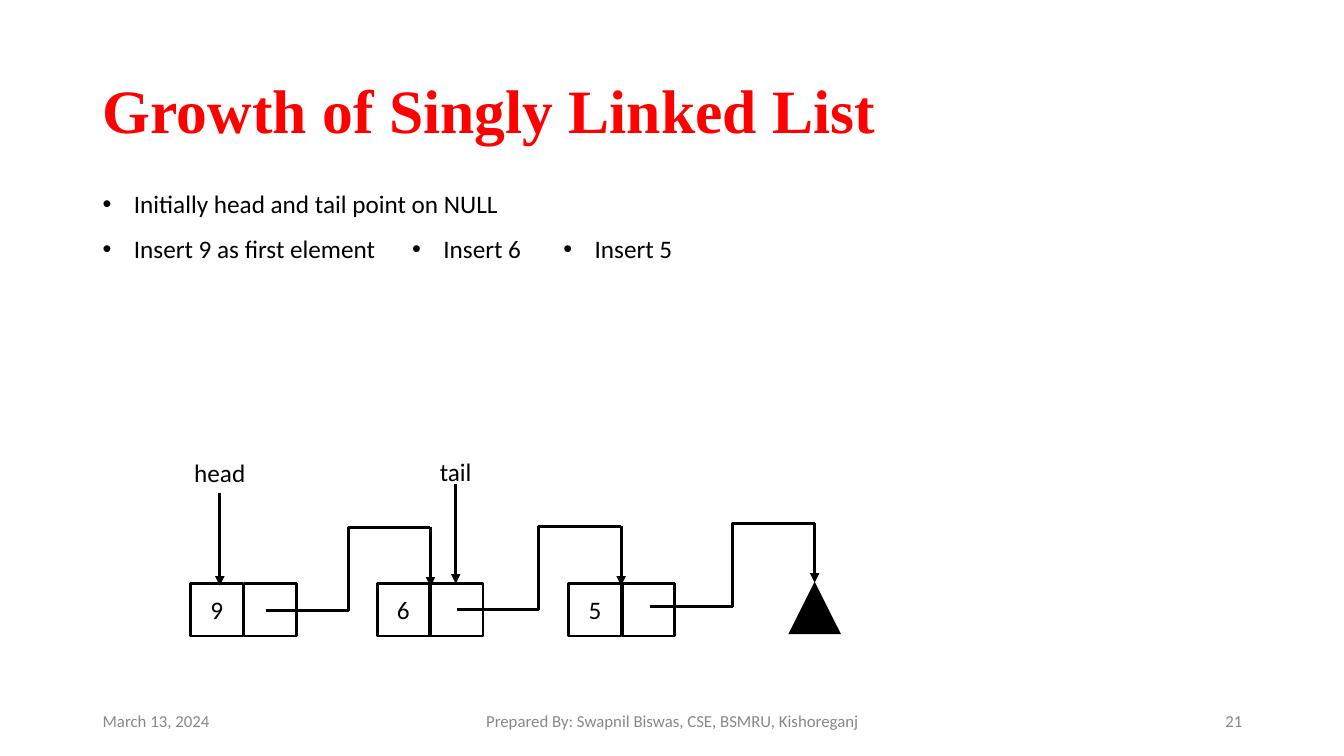
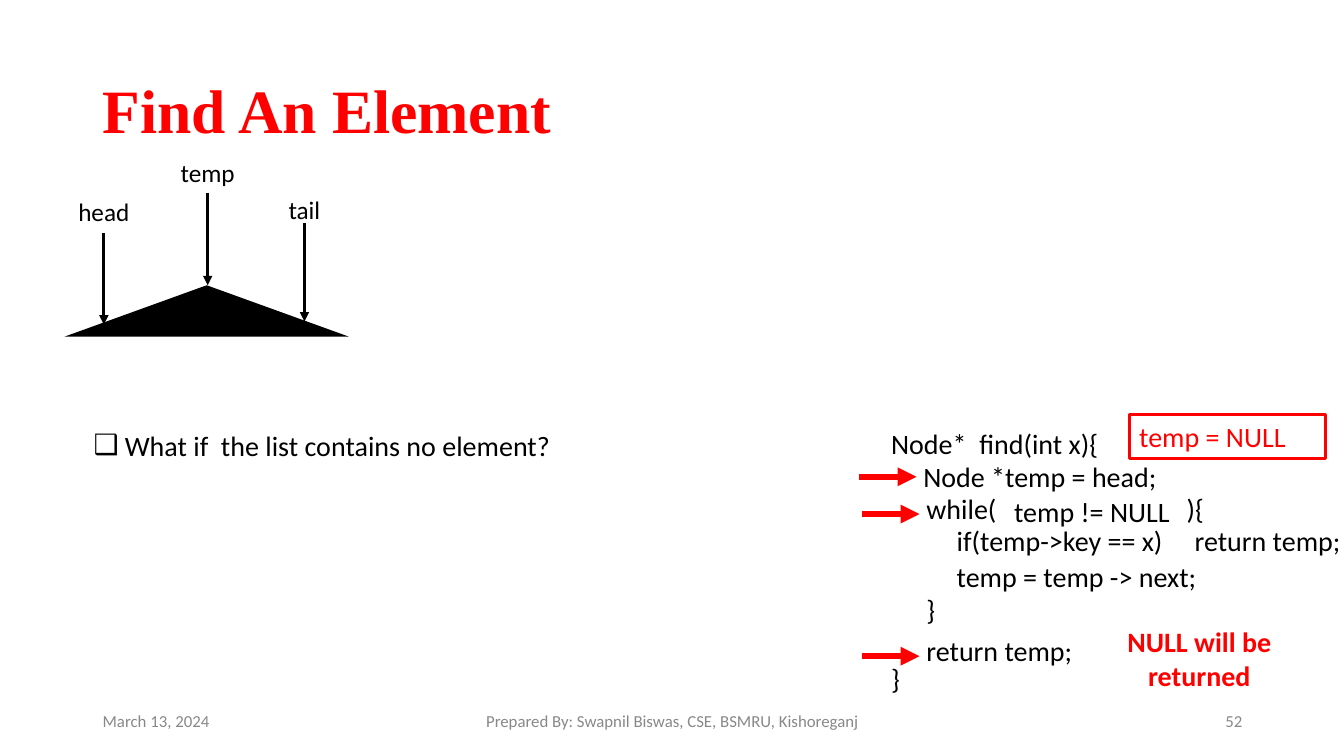
from lxml import etree
from pptx import Presentation
from pptx.dml.color import RGBColor
from pptx.enum.shapes import MSO_CONNECTOR, MSO_SHAPE
from pptx.enum.text import MSO_ANCHOR, PP_ALIGN
from pptx.oxml.ns import qn
from pptx.util import Inches, Pt

BLACK = RGBColor(0, 0, 0)
RED = RGBColor(255, 0, 0)
GREY = RGBColor(0x88, 0x88, 0x88)
LEFT, MID, RIGHT = PP_ALIGN.LEFT, PP_ALIGN.CENTER, PP_ALIGN.RIGHT
TOP, MIDDLE = MSO_ANCHOR.TOP, MSO_ANCHOR.MIDDLE
RECT, PEAK = MSO_SHAPE.RECTANGLE, MSO_SHAPE.ISOSCELES_TRIANGLE
LINE, ELBOW = MSO_CONNECTOR.STRAIGHT, MSO_CONNECTOR.ELBOW
CELL = 0.52
STEP = 0.53


def write(frame, text, size=18, color=BLACK, bold=False, font="Calibri",
          align=LEFT, anchor=TOP, mark=None):
    frame.word_wrap = True
    frame.vertical_anchor = anchor
    para = frame.paragraphs[0]
    para.text = text
    para.alignment = align
    if mark:
        props = para._p.get_or_add_pPr()
        props.set("marL", str(Inches(0.31)))
        props.set("indent", str(Inches(-0.31)))
        etree.SubElement(props, qn("a:buFont")).set("typeface", "Arial")
        etree.SubElement(props, qn("a:buChar")).set("char", mark)
    style = para.runs[0].font
    style.name, style.size, style.bold = font, Pt(size), bold
    style.color.rgb = color
    return para


def label(slide, text, x, y, w, h=0.4, **look):
    box = slide.shapes.add_textbox(Inches(x), Inches(y), Inches(w), Inches(h))
    write(box.text_frame, text, **look)


def shape(slide, kind, x, y, w, h, fill=None, edge=None, width=2):
    item = slide.shapes.add_shape(kind, Inches(x), Inches(y), Inches(w), Inches(h))
    item.shadow.inherit = False
    if fill is None:
        item.fill.background()
    else:
        item.fill.solid()
        item.fill.fore_color.rgb = fill
    if edge is None:
        item.line.fill.background()
    else:
        item.line.color.rgb = edge
        item.line.width = Pt(width)
    return item


def wire(slide, start, end, color=BLACK, width=2.25, kind=LINE, arrow=True):
    ends = [Inches(v) for v in (*start, *end)]
    item = slide.shapes.add_connector(kind, *ends)
    item.line.color.rgb = color
    item.line.width = Pt(width)
    if arrow:
        tip = etree.SubElement(item.line._get_or_add_ln(), qn("a:tailEnd"))
        tip.set("type", "triangle")
    etree.SubElement(item._element.spPr, qn("a:effectLst"))


def pointer(slide, text, x, y, start, end):
    """Name centred on x, with an arrow down from it."""
    label(slide, text, x - 0.5, y, 1, align=MID)
    wire(slide, (x, start), (x, end))


def node(slide, key, x, y):
    """List node: a key cell and a next cell."""
    for i, text in enumerate((key, "")):
        cell = shape(slide, RECT, x + i * STEP, y, CELL, CELL, edge=BLACK)
        if text:
            write(cell.text_frame, text, align=MID, anchor=MIDDLE)


def link(slide, x, y):
    """Next link: up and over, then down to the next node."""
    right, top = x + 1.63, y - 0.83
    wire(slide, (x, y), (right, top), kind=ELBOW, arrow=False)
    wire(slide, (right, top), (right, top + 0.59))


def base(deck, title, number):
    """New slide with the shared title style and footer."""
    slide = deck.slides.add_slide(deck.slide_layouts[5])
    head = slide.shapes.title
    head.left, head.top = Inches(0.92), Inches(0.4)
    head.width, head.height = Inches(11.5), Inches(1.45)
    para = write(head.text_frame, title, size=44, color=RED, bold=True,
                 font="Times New Roman", anchor=MIDDLE)
    para.line_spacing = 0.9
    for text, x, w, align in (
        ("March 13, 2024", 0.92, 3, LEFT),
        ("Prepared By: Swapnil Biswas, CSE, BSMRU, Kishoreganj", 4.42, 4.5, MID),
        (str(number), 9.42, 3, RIGHT),
    ):
        label(slide, text, x, 6.95, w, size=12, color=GREY, align=align,
              anchor=MIDDLE)
    return slide


def chain(slide, x, y):
    """Linked list of three nodes that ends in NULL."""
    for key, dx in (("9", 0), ("6", 1.85), ("5", 3.75)):
        node(slide, key, x + dx, y)
    for dx, dy in ((0.75, 0.27), (2.64, 0.26), (4.56, 0.23)):
        link(slide, x + dx, y + dy)
    shape(slide, PEAK, x + 5.93, y - 0.02, CELL, CELL, fill=BLACK)
    pointer(slide, "head", x + 0.29, y - 1.3, y - 0.9, y + 0.02)
    pointer(slide, "tail", x + 2.63, y - 1.31, y - 0.99, y)


def growth(deck):
    slide = base(deck, "Growth of Singly Linked List", 21)
    for text, x, y, w in (
        ("Initially head and tail point on NULL", 0.92, 1.82, 4.56),
        ("Insert 9 as first element", 0.92, 2.27, 3.05),
        ("Insert 6", 3.99, 2.27, 1.4),
        ("Insert 5", 5.49, 2.27, 1.4),
    ):
        label(slide, text, x, y, w, mark="•")
    chain(slide, 1.89, 5.79)


def empty(slide, x, y):
    """Empty list: every pointer ends on NULL."""
    shape(slide, PEAK, x, y, 2.82, 0.51, fill=BLACK)
    pointer(slide, "head", x + 0.39, y - 0.93, y - 0.52, y + 0.39)
    pointer(slide, "temp", x + 1.42, y - 1.32, y - 0.92, y)
    pointer(slide, "tail", x + 2.38, y - 0.95, y - 0.62, y + 0.36)


def code(slide, x, y):
    """Listing of find, with arrows at the lines that run."""
    for text, dx, dy, w in (
        ("Node*  find(int x){", 0, 0, 2.46),
        ("Node *temp = head;", 0.32, 0.33, 2.8),
        ("while(", 0.35, 0.65, 1),
        ("temp != NULL", 1.22, 0.68, 2.03),
        ("){", 2.93, 0.65, 0.6),
        ("if(temp->key == x)", 0.65, 0.96, 2.49),
        ("return temp;", 3.01, 0.96, 1.8),
        ("temp = temp -> next;", 0.65, 1.32, 2.9),
        ("}", 0.35, 1.65, 0.5),
        ("return temp;", 0.35, 2.06, 1.8),
        ("}", 0, 2.33, 0.5),
    ):
        label(slide, text, x + dx, y + dy, w, 0.44, size=20)
    for dx, dy in ((-0.22, 0.55), (-0.19, 0.92), (-0.19, 2.33)):
        left, mid = x + dx, y + dy
        wire(slide, (left, mid), (left + 0.57, mid), color=RED, width=4.5)


def find(deck):
    slide = base(deck, "Find An Element", 52)
    empty(slide, 0.64, 2.83)
    label(slide, "What if  the list contains no element?", 0.83, 4.2, 5.2, 0.44,
          size=20, mark="❑")
    code(slide, 8.74, 4.18)
    state = shape(slide, RECT, 11.2, 4.11, 1.95, 0.44, edge=RED, width=2.25)
    write(state.text_frame, "temp = NULL", size=20, color=RED)
    label(slide, "NULL will be returned", 10.77, 6.15, 2.25, 0.77, size=20,
          color=RED, bold=True, align=MID)


def main():
    deck = Presentation()
    deck.slide_width, deck.slide_height = Inches(13.33), Inches(7.5)
    growth(deck)
    find(deck)
    deck.save("out.pptx")


if __name__ == "__main__":
    main()
